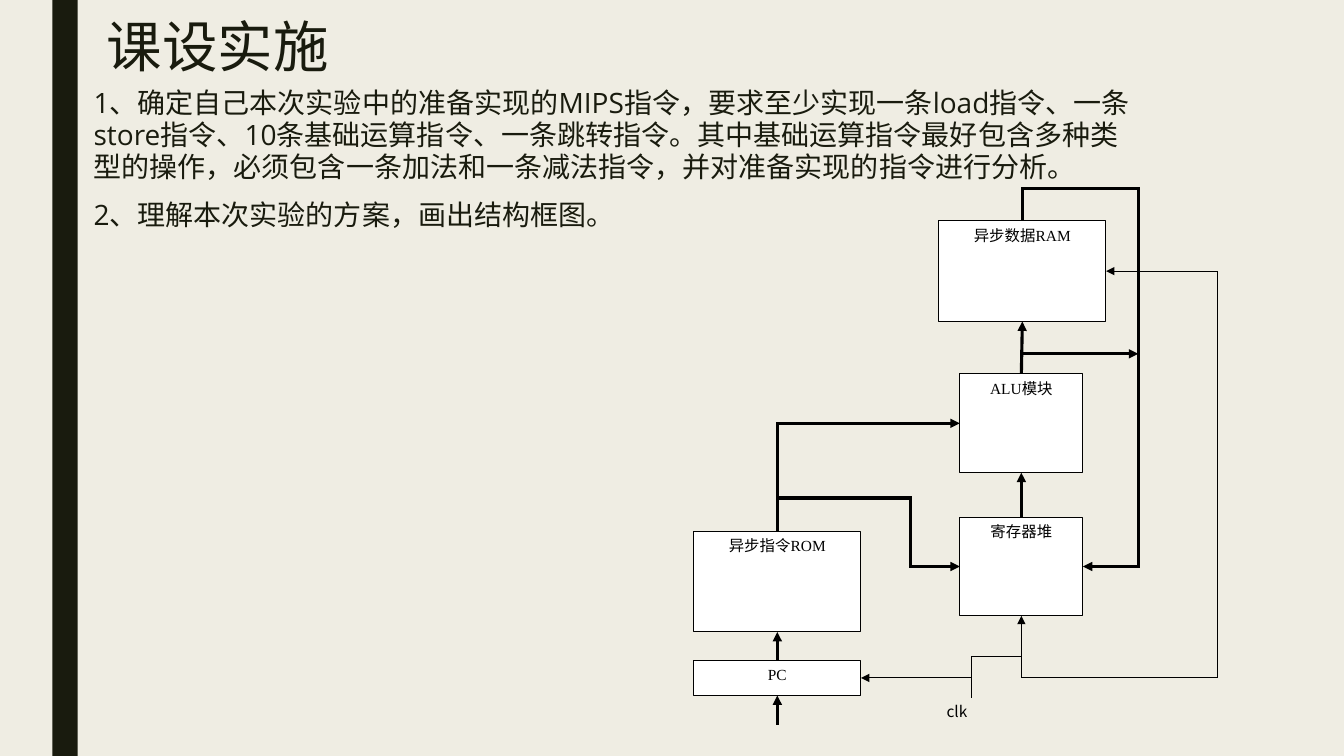
from lxml import etree
from pptx import Presentation
from pptx.dml.color import RGBColor
from pptx.enum.shapes import MSO_CONNECTOR, MSO_SHAPE
from pptx.enum.text import MSO_ANCHOR, MSO_AUTO_SIZE, PP_ALIGN
from pptx.oxml.ns import qn
from pptx.util import Inches, Pt

RECTANGLE = MSO_SHAPE.RECTANGLE
STRAIGHT = MSO_CONNECTOR.STRAIGHT
TOP, MIDDLE = MSO_ANCHOR.TOP, MSO_ANCHOR.MIDDLE
LEFT, CENTER = PP_ALIGN.LEFT, PP_ALIGN.CENTER
NO_AUTOFIT = MSO_AUTO_SIZE.NONE

COLORS = {"paper": "EFEDE3", "ink": "191B0E", "box": "FFFFFF", "line": "000000"}
BODY_FONT, BOX_FONT, CLOCK_FONT = "Open Sans", "Times New Roman", "Noto Sans CJK SC"
THICK, THIN = 2.25, 0.75

TITLE = "课设实施"
STEPS = [
    "1、确定自己本次实验中的准备实现的MIPS指令，要求至少实现一条load指令、"
    "一条store指令、10条基础运算指令、一条跳转指令。其中基础运算指令最好包含"
    "多种类型的操作，必须包含一条加法和一条减法指令，并对准备实现的指令进行分析。",
    "2、理解本次实验的方案，画出结构框图。",
]

# module: label, (left, top, width, height)
MODULES = {
    "rom": ("异步指令ROM", (6.88, 5.27, 1.66, 1)),
    "ram": ("异步数据RAM", (9.31, 2.19, 1.66, 1)),
    "registers": ("寄存器堆", (9.52, 5.13, 1.22, 0.98)),
    "alu": ("ALU模块", (9.52, 3.71, 1.22, 0.98)),
    "pc": ("PC", (6.88, 6.55, 1.66, 0.35)),
}


def port(module, side):
    """Middle point of one side of a module's box."""
    left, top, width, height = MODULES[module][1]
    across, down = {"top": (0.5, 0), "bottom": (0.5, 1),
                    "left": (0, 0.5), "right": (1, 0.5)}[side]
    return left + width * across, top + height * down


def route(start, *corners_and_end):
    """Points of a right-angled route; None keeps the previous coordinate."""
    points = [start]
    for x, y in corners_and_end:
        last_x, last_y = points[-1]
        points.append((last_x if x is None else x, last_y if y is None else y))
    return points


rom_out = port("rom", "top")
ram_out = port("ram", "top")
registers_in = port("registers", "left")
registers_back = port("registers", "right")
registers_clock = port("registers", "bottom")
alu_in = port("alu", "left")
alu_out = port("alu", "top")
pc_clock = port("pc", "right")
pc_in = port("pc", "bottom")
ram_clock = port("ram", "right")

FORK_Y, FORK_X = 4.94, 9.03
RESULT_BUS_X, RESULT_Y = 11.29, 3.51
CLOCK_X, CLOCK_Y = 9.64, 6.92

ROUTES = [
    (THICK, [port("pc", "top"), port("rom", "bottom")]),
    (THICK, route(rom_out, (None, FORK_Y), (FORK_X, None),
                  (None, registers_in[1]), registers_in)),
    (THICK, [port("registers", "top"), port("alu", "bottom")]),
    (THICK, [alu_out, port("ram", "bottom")]),
    (THICK, route(ram_out, (None, 1.87), (RESULT_BUS_X, None),
                  (None, registers_back[1]), registers_back)),
    (THICK, [(pc_in[0], 7.19), pc_in]),
    (THICK, route((rom_out[0], FORK_Y), (None, alu_in[1]), alu_in)),
    (THIN, route((CLOCK_X, CLOCK_Y), (None, pc_clock[1]), pc_clock)),
    (THIN, route((CLOCK_X, CLOCK_Y), (None, 6.51),
                 (registers_clock[0], None), registers_clock)),
    (THIN, route((registers_clock[0], 6.46), (None, 6.72), (12.08, None),
                 (None, ram_clock[1]), ram_clock)),
    (THICK, [(alu_out[0], RESULT_Y), (RESULT_BUS_X, RESULT_Y)]),
]


def color(name):
    return RGBColor.from_string(COLORS[name])


def write(frame, lines, size, font, ink, align=LEFT, anchor=TOP):
    frame.word_wrap = True
    frame.auto_size = NO_AUTOFIT
    frame.vertical_anchor = anchor
    for index, line in enumerate(lines):
        paragraph = frame.add_paragraph() if index else frame.paragraphs[0]
        paragraph.text = line
        paragraph.alignment = align
        paragraph.font.size = Pt(size)
        paragraph.font.name = font
        paragraph.font.color.rgb = color(ink)


def add_box(slide, place, fill):
    box = slide.shapes.add_shape(RECTANGLE, *map(Inches, place))
    box.shadow.inherit = False
    box.fill.solid()
    box.fill.fore_color.rgb = color(fill)
    box.line.fill.background()
    return box


def add_arrow(slide, width, points):
    """Connector for a straight arrow, open outline for one with corners."""
    start, *rest = [(Inches(x), Inches(y)) for x, y in points]
    straight = len(rest) == 1
    if straight:
        arrow = slide.shapes.add_connector(STRAIGHT, *start, *rest[0])
    else:
        outline = slide.shapes.build_freeform(*start)
        outline.add_line_segments(rest, close=False)
        arrow = outline.convert_to_shape()
        arrow.shadow.inherit = False
        arrow.fill.background()
    arrow.line.width = Pt(width)
    arrow.line.color.rgb = color("line")
    properties = arrow.element.spPr
    line = properties.find(qn("a:ln"))
    etree.SubElement(line, qn("a:miter"), lim="800000")
    etree.SubElement(line, qn("a:tailEnd"), type="triangle")
    if straight:
        etree.SubElement(properties, qn("a:effectLst"))


def main():
    deck = Presentation()
    deck.slide_width, deck.slide_height = Inches(13.33), Inches(7.5)
    slide = deck.slides.add_slide(deck.slide_layouts.get_by_name("Title Only"))
    slide.background.fill.solid()
    slide.background.fill.fore_color.rgb = color("paper")
    add_box(slide, (0.52, 0, 0.25, 7.5), "ink")

    title = slide.shapes.title
    title.left, title.top = Inches(0.96), Inches(0.14)
    title.width, title.height = Inches(10.5), Inches(0.7)
    write(title.text_frame, [TITLE], 39.6, BODY_FONT, "ink", anchor=MIDDLE)
    title.text_frame.paragraphs[0].line_spacing = 0.89

    steps = slide.shapes.add_textbox(*map(Inches, (0.83, 0.83, 10.5, 3.92)))
    write(steps.text_frame, STEPS, 20, BODY_FONT, "ink")
    for paragraph in steps.text_frame.paragraphs:
        paragraph.line_spacing = 0.94
        paragraph.space_before, paragraph.space_after = Pt(10), Pt(2)

    clock = slide.shapes.add_textbox(*map(Inches, (9.29, CLOCK_Y, 0.71, 0.34)))
    write(clock.text_frame, ["clk"], 11, CLOCK_FONT, "line")

    for label, place in MODULES.values():
        box = add_box(slide, place, "box")
        box.line.color.rgb = color("line")
        box.line.width = Pt(THIN)
        write(box.text_frame, [label], 11, BOX_FONT, "line", CENTER)

    for width, points in ROUTES:
        add_arrow(slide, width, points)

    deck.save("out.pptx")


if __name__ == "__main__":
    main()
